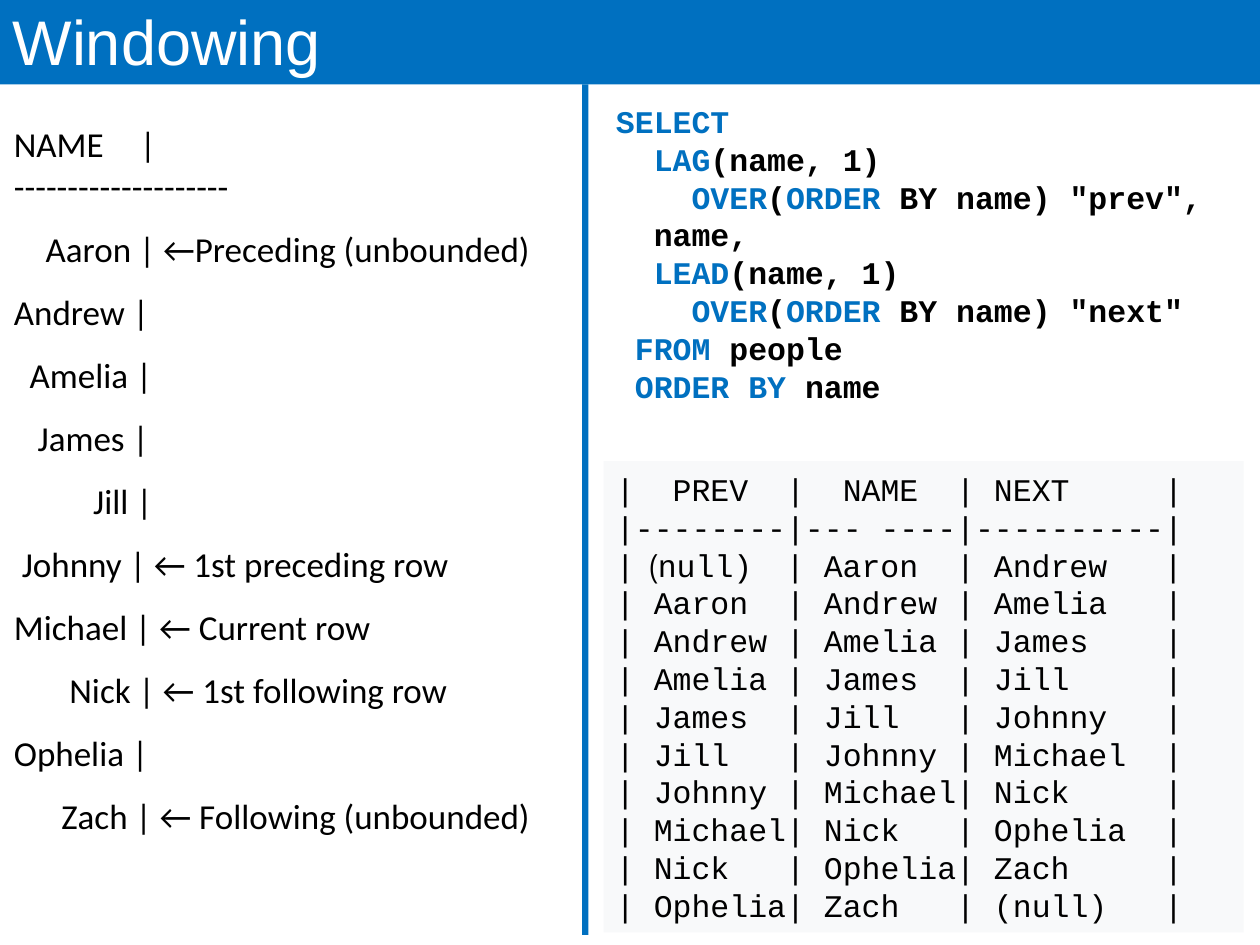
"""Build the slide on SQL windowing with LAG and LEAD."""
from dataclasses import dataclass

from lxml.etree import SubElement
from pptx import Presentation
from pptx.dml.color import RGBColor
from pptx.enum.shapes import MSO_SHAPE
from pptx.enum.text import MSO_ANCHOR, MSO_AUTO_SIZE, PP_ALIGN
from pptx.oxml.ns import qn
from pptx.util import Inches, Pt

COLORS = {"blue": "0070C0", "white": "FFFFFF", "black": "000000", "panel": "F8F9FA"}
CODE_CHAR = 0.15
LIST_SPACE = 0.063


@dataclass
class Person:
    name: str
    indent: int = 0
    note: str = ""


@dataclass
class CodeLine:
    indent: int
    pieces: tuple[str, ...]


@dataclass
class Piece:
    text: str
    font: str = "Courier New"
    size: int = 18


PEOPLE = [
    Person("Aaron", 4, " ←Preceding (unbounded)"),
    Person("Andrew"),
    Person("Amelia", 2),
    Person("James", 3),
    Person("Jill", 10),
    Person("Johnny", 1, " ← 1st preceding row"),
    Person("Michael", 0, " ← Current row"),
    Person("Nick", 7, " ← 1st following row"),
    Person("Ophelia"),
    Person("Zach", 6, " ← Following (unbounded)"),
]

# Pieces alternate between keyword and plain text.
QUERY = [
    CodeLine(0, ("SELECT",)),
    CodeLine(2, ("LAG", "(name, 1)")),
    CodeLine(4, ("OVER", "(", "ORDER", ' BY name) "prev",')),
    CodeLine(2, ("", "name,")),
    CodeLine(2, ("LEAD", "(name, 1)")),
    CodeLine(4, ("OVER", "(", "ORDER", ' BY name) "next"')),
    CodeLine(1, ("FROM", " people")),
    CodeLine(1, ("ORDER BY ", "name")),
]


def rgb(name: str) -> RGBColor:
    return RGBColor.from_string(COLORS[name])


def place(shape, left: float, top: float, width: float, height: float) -> None:
    shape.left, shape.top = Inches(left), Inches(top)
    shape.width, shape.height = Inches(width), Inches(height)


def add_panel(slide, color: str, left: float, top: float, width: float, height: float):
    panel = slide.shapes.add_shape(
        MSO_SHAPE.RECTANGLE, Inches(left), Inches(top), Inches(width), Inches(height))
    panel.fill.solid()
    panel.fill.fore_color.rgb = rgb(color)
    panel.line.fill.background()
    panel.shadow.inherit = False
    return panel


def add_line(frame, first: bool, font: str, size: int, indent: float = 0):
    line = frame.paragraphs[0] if first else frame.add_paragraph()
    line.alignment = PP_ALIGN.LEFT
    line.space_before = Pt(0)
    line.font.name, line.font.size = font, Pt(size)
    line.font.color.rgb = rgb("black")
    properties = line._p.get_or_add_pPr()
    properties.set("marL", str(Inches(indent)))
    properties.set("indent", "0")
    return line


def fill_title(title) -> None:
    place(title, 0, -0.01, 10, 0.68)
    title.fill.solid()
    title.fill.fore_color.rgb = rgb("blue")
    frame = title.text_frame
    frame.auto_size = MSO_AUTO_SIZE.NONE
    frame.vertical_anchor = MSO_ANCHOR.BOTTOM
    heading = add_line(frame, True, "Arial", 36)
    heading.font.color.rgb = rgb("white")
    heading.text = "Windowing"


def fill_people(body) -> None:
    place(body, 0.01, 0.92, 4.5, 5.77)
    frame = body.text_frame
    frame.auto_size = MSO_AUTO_SIZE.NONE
    lines = [("NAME\t|", 0, 1), ("-" * 20, 0, 1)]
    lines += [(f"{p.name} |{p.note}", p.indent, 1.5) for p in PEOPLE]
    for number, (text, indent, spacing) in enumerate(lines):
        line = add_line(frame, number == 0, "Calibri", 20, indent * LIST_SPACE)
        line.line_spacing = float(spacing)
        line.text = text
        properties = line._p.pPr
        bullet = SubElement(properties, qn("a:buNone"))
        properties.find(qn("a:defRPr")).addprevious(bullet)
        if "\t" in text:
            tabs = SubElement(properties, qn("a:tabLst"))
            SubElement(tabs, qn("a:tab"), pos=str(Inches(0.96)), algn="l")
            bullet.addnext(tabs)


def add_query(slide) -> None:
    query = slide.shapes.add_textbox(Inches(4.79), Inches(0.76), Inches(5.08), Inches(2.52))
    frame = query.text_frame
    frame.word_wrap = True
    for number, code in enumerate(QUERY):
        line = add_line(frame, number == 0, "Courier New", 18, code.indent * CODE_CHAR)
        line.font.bold = True
        for place_in_line, text in enumerate(code.pieces):
            if text:
                run = line.add_run()
                run.text = text
                run.font.color.rgb = rgb("black" if place_in_line % 2 else "blue")


def result_row(before: str, name: str, after: str) -> str:
    return f"| {before:<7}| {name:<7}| {after:<9}|"


def add_result(slide) -> None:
    frame = add_panel(slide, "panel", 4.79, 3.66, 5.08, 3.74).text_frame
    frame.word_wrap = True
    frame.vertical_anchor = MSO_ANCHOR.MIDDLE
    names = [person.name for person in PEOPLE]
    first_row = [Piece("|"), Piece("  (", "Arial Narrow"), Piece("null) "),
                 Piece(" ", size=14), Piece("| Aaron  | Andrew   |")]
    rows = [[Piece("|  PREV  |  NAME  | NEXT     |")],
            [Piece("|--------|--- ----|----------|")], first_row]
    rows += [[Piece(result_row(*row))]
             for row in zip(names, names[1:], names[2:] + ["(null)"])]
    for number, pieces in enumerate(rows):
        line = add_line(frame, number == 0, "Courier New", 18)
        for piece in pieces:
            run = line.add_run()
            run.text = piece.text
            if len(pieces) > 1:
                run.font.name, run.font.size = piece.font, Pt(piece.size)


def main() -> None:
    deck = Presentation()
    deck.slide_width, deck.slide_height = Inches(10), Inches(7.5)
    slide = deck.slides.add_slide(deck.slide_layouts[1])
    fill_title(slide.shapes.title)
    fill_people(slide.placeholders[1])
    add_query(slide)
    add_panel(slide, "blue", 4.62, 0.67, 0.05, 6.75)
    add_result(slide)
    deck.save("out.pptx")


if __name__ == "__main__":
    main()
